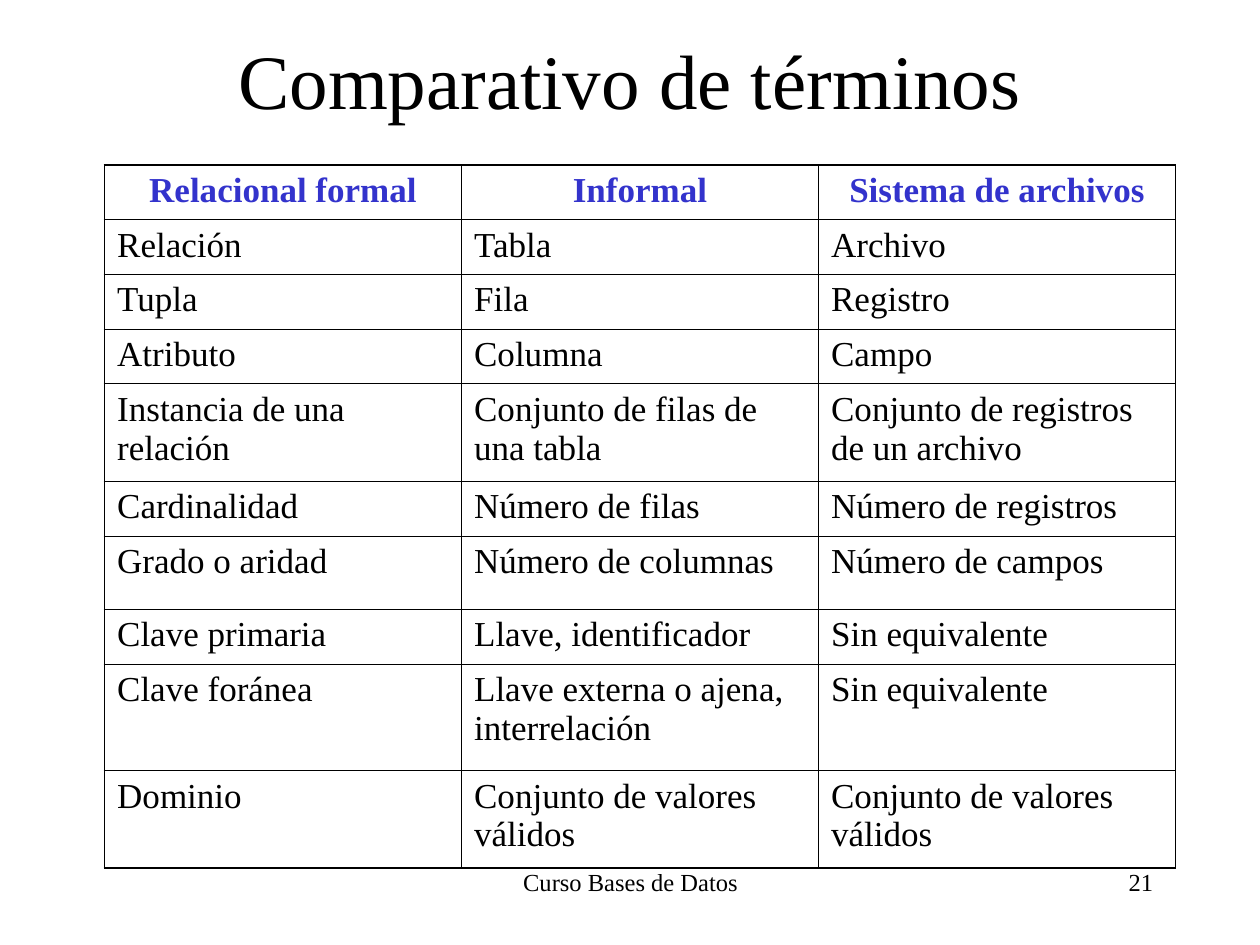
import pptx
import pptx.dml.color
import pptx.enum.text
import pptx.oxml
import pptx.oxml.ns
import pptx.util

# Content
TITLE = "Comparativo de términos"
FOOTER = "Curso Bases de Datos"
SLIDE_NUMBER = "21"
TERMS = [
    ("Relacional formal", "Informal", "Sistema de archivos"),
    ("Relación", "Tabla", "Archivo"),
    ("Tupla", "Fila", "Registro"),
    ("Atributo", "Columna", "Campo"),
    ("Instancia de una relación", "Conjunto de filas de una tabla",
     "Conjunto de registros de un archivo"),
    ("Cardinalidad", "Número de filas", "Número de registros"),
    ("Grado o aridad", "Número de columnas", "Número de campos"),
    ("Clave primaria", "Llave, identificador", "Sin equivalente"),
    ("Clave foránea", "Llave externa o ajena, interrelación", "Sin equivalente"),
    ("Dominio", "Conjunto de valores válidos", "Conjunto de valores válidos"),
]

# Format and layout, in inches and points
FONT, BLACK, BLUE = "Times New Roman", "000000", "3333CC"
THIN, THICK = 0.45, 1.08
TITLE_BOX = (0.75, 0, 8.5, 1.25)
TABLE_BOX = (0.83, 1.31, 8.5, 5.57)
FOOTER_BOX = (3.42, 6.83, 3.17, 0.5)
NUMBER_BOX = (7.17, 6.83, 2.08, 0.5)
SINGLE_ROW = 0.43
TALLER_ROWS = {4: 0.77, 6: 0.58, 8: 0.84, 9: 0.77}

ALIGN = pptx.enum.text.PP_ALIGN
ANCHOR = pptx.enum.text.MSO_ANCHOR


def color(hex_string):
    return pptx.dml.color.RGBColor.from_string(hex_string)


def inches(box):
    return [pptx.util.Inches(length) for length in box]


def write(frame, text, size=20, ink=BLACK, bold=False, align=ALIGN.LEFT, before=0):
    frame.word_wrap = True
    paragraph = frame.paragraphs[0]
    paragraph.alignment = align
    paragraph.space_before = pptx.util.Pt(before)
    run = paragraph.add_run()
    run.text = text
    run.font.name = FONT
    run.font.size = pptx.util.Pt(size)
    run.font.bold = bold
    run.font.color.rgb = color(ink)


def set_borders(cell, widths):
    properties = cell._tc.get_or_add_tcPr()
    for index, (side, width) in enumerate(widths.items()):
        properties.insert(index, pptx.oxml.parse_xml(
            f'<a:{side} {pptx.oxml.ns.nsdecls("a")} w="{pptx.util.Pt(width)}">'
            f'<a:solidFill><a:srgbClr val="{BLACK}"/></a:solidFill></a:{side}>'))


def add_terms_table(slide):
    row_count, column_count = len(TERMS), len(TERMS[0])
    left, top, width, height = inches(TABLE_BOX)
    table = slide.shapes.add_table(
        row_count, column_count, left, top, width, height).table
    table.first_row = table.horz_banding = False

    for column in table.columns:
        column.width = int(width / column_count)
    shares = [TALLER_ROWS.get(index, SINGLE_ROW) for index in range(row_count)]
    for row, share in zip(table.rows, shares):
        row.height = int(height * share / sum(shares))

    for row_index, terms in enumerate(TERMS):
        header = row_index == 0
        for column_index, term in enumerate(terms):
            cell = table.cell(row_index, column_index)
            cell.fill.background()
            write(cell.text_frame, term, before=5, bold=header,
                  ink=BLUE if header else BLACK,
                  align=ALIGN.CENTER if header else ALIGN.LEFT)
            outer_sides = {
                "lnL": column_index == 0,
                "lnR": column_index == column_count - 1,
                "lnT": header,
                "lnB": row_index == row_count - 1,
            }
            set_borders(cell, {side: THICK if outer else THIN
                               for side, outer in outer_sides.items()})


def main():
    presentation = pptx.Presentation()
    presentation.slide_width, presentation.slide_height = inches((10, 7.5))
    slide = presentation.slides.add_slide(presentation.slide_layouts[5])

    # Footer and slide number
    for box, text, align in ((FOOTER_BOX, FOOTER, ALIGN.CENTER),
                             (NUMBER_BOX, SLIDE_NUMBER, ALIGN.RIGHT)):
        shape = slide.shapes.add_textbox(*inches(box))
        write(shape.text_frame, text, size=14, align=align)

    # Table of terms
    add_terms_table(slide)

    # Title
    title = slide.shapes.title
    title.left, title.top, title.width, title.height = inches(TITLE_BOX)
    title.text_frame.vertical_anchor = ANCHOR.MIDDLE
    write(title.text_frame, TITLE, size=44, align=ALIGN.CENTER)

    presentation.save("out.pptx")


if __name__ == "__main__":
    main()
